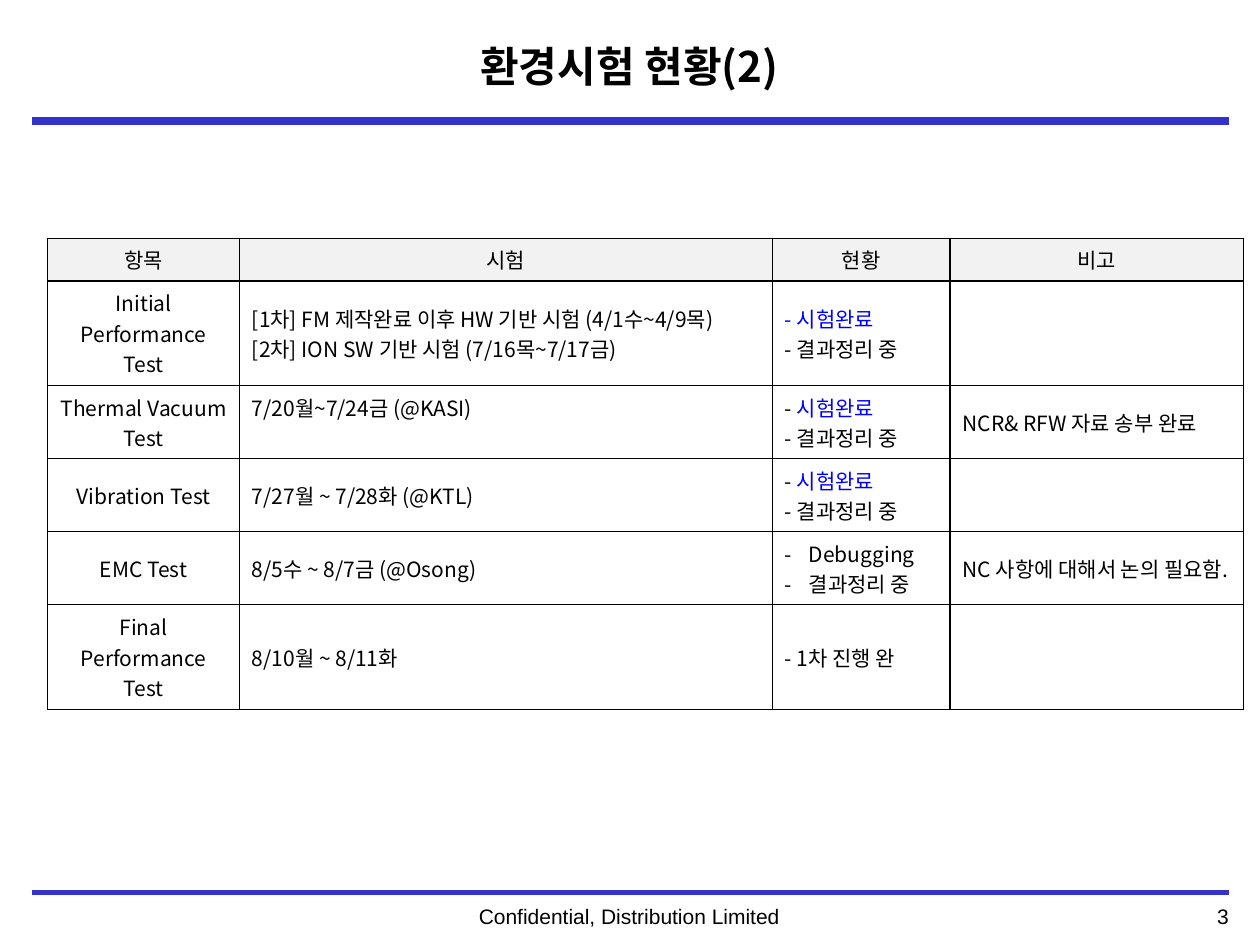
from lxml.etree import SubElement
from pptx import Presentation
from pptx.dml.color import RGBColor
from pptx.enum.shapes import MSO_CONNECTOR
from pptx.enum.text import MSO_ANCHOR, PP_ALIGN
from pptx.oxml.ns import qn
from pptx.util import Inches, Pt

# Content: a cell is a list of paragraphs, a paragraph a list of (text, colour)
TITLE = "환경시험 현황(2)"
FOOTER = "Confidential, Distribution Limited"
PAGE = "3"
HEADERS = ["항목", "시험", "현황", "비고"]
WRITING_UP = [("- 결과정리 중", "text")]
DONE = [[("- ", "text"), ("시험완료", "done")], WRITING_UP]
ROWS = [
    ["Initial Performance Test",
     [[("[1차] FM 제작완료 이후 HW 기반 시험 (4/1수~4/9목)", "text")],
      [("[2차] ION SW 기반 시험 (7/16목~7/17금)", "text")]],
     [[("- 시험완료", "done")], WRITING_UP], ""],
    ["Thermal Vacuum Test", "7/20월~7/24금 (@KASI)", DONE, "NCR& RFW 자료 송부 완료"],
    ["Vibration Test", "7/27월 ~ 7/28화 (@KTL)", DONE, ""],
    ["EMC Test", "8/5수 ~ 8/7금 (@Osong)",
     [[("Debugging", "text")], [("결과정리 중", "text")]], "NC 사항에 대해서 논의 필요함."],
    ["Final Performance Test", "8/10월 ~ 8/11화", "- 1차 진행 완", ""],
]
BULLETED = {(4, 2)}
TOP_ANCHORED = {(2, 1)}

THEME = {
    "colors": {"text": "000000", "done": "0000FF", "rule": "3333CC",
               "header": "F2F2F2", "border": "000000"},
    "title": {"size": Pt(24), "name": "Noto Sans CJK KR", "bold": True},
    "table": {"size": Pt(12), "name": "Noto Sans CJK KR"},
    "footer": {"size": Pt(12), "name": "Arial"},
}

# Layout in inches; row heights follow the number of text lines
W, H, MARGIN = 10, 7.5, 0.25
RULES = [(0.96, 4.5), (7.08, 2), (7.09, 2)]
TABLE_LEFT, TABLE_TOP = 0.38, 1.89
COLS = [1.52, 4.23, 1.41, 2.33]
LINE_HEIGHTS = {1: 0.34, 2: 0.58, 3: 0.83}
ROW_HEIGHTS = [LINE_HEIGHTS[lines] for lines in (1, 3, 2, 2, 2, 3)]
INDENT = Inches(0.19)


def color(name):
    return RGBColor.from_string(THEME["colors"][name])


def write(tf, content, style, align=PP_ALIGN.LEFT, bullet=False):
    if isinstance(content, str):
        content = [[(content, "text")]]
    for i, runs in enumerate(content):
        p = tf.add_paragraph() if i else tf.paragraphs[0]
        p.alignment = align
        if bullet:
            pPr = p._p.get_or_add_pPr()
            pPr.set("marL", str(INDENT))
            pPr.set("indent", str(-INDENT))
            SubElement(pPr, qn("a:buFont"), typeface=THEME[style]["name"])
            SubElement(pPr, qn("a:buChar"), char="-")
        for text, tone in runs:
            # An empty cell keeps its type size on the paragraph
            r = p.add_run() if text else p
            r.text = text
            for key, value in THEME[style].items():
                setattr(r.font, key, value)
            r.font.color.rgb = color(tone)
            if text:
                rPr = r._r.get_or_add_rPr()
                rPr.set("kern", "0")
                SubElement(rPr, qn("a:ea"), typeface=r.font.name)


def add_text(s, box, text, style, align, anchor=MSO_ANCHOR.TOP):
    tf = s.shapes.add_textbox(*map(Inches, box)).text_frame
    tf.word_wrap = True
    tf.vertical_anchor = anchor
    write(tf, text, style, align)


def add_rule(s, y, width):
    line = s.shapes.add_connector(MSO_CONNECTOR.STRAIGHT, Inches(MARGIN), Inches(y),
                                  Inches(W - MARGIN), Inches(y))
    line.line.color.rgb = color("rule")
    line.line.width = Pt(width)
    SubElement(line._element.spPr, qn("a:effectLst"))


def add_borders(cell):
    tcPr = cell._tc.get_or_add_tcPr()
    for side in ("lnL", "lnR", "lnT", "lnB"):
        ln = SubElement(tcPr, qn(f"a:{side}"), w=str(Pt(0.75)))
        fill = SubElement(ln, qn("a:solidFill"))
        SubElement(fill, qn("a:srgbClr"), val=THEME["colors"]["border"])


def add_status_table(s):
    table = s.shapes.add_table(len(ROWS) + 1, len(COLS), Inches(TABLE_LEFT), Inches(TABLE_TOP),
                               Inches(sum(COLS)), Inches(sum(ROW_HEIGHTS))).table
    for col, width in zip(table.columns, COLS):
        col.width = Inches(width)
    for row, height in zip(table.rows, ROW_HEIGHTS):
        row.height = Inches(height)
    for i, row in enumerate([HEADERS] + ROWS):
        for j, content in enumerate(row):
            cell = table.cell(i, j)
            cell.vertical_anchor = MSO_ANCHOR.TOP if (i, j) in TOP_ANCHORED else MSO_ANCHOR.MIDDLE
            add_borders(cell)
            if i == 0:
                cell.fill.solid()
                cell.fill.fore_color.rgb = color("header")
            else:
                cell.fill.background()
            align = PP_ALIGN.CENTER if i == 0 or j == 0 else PP_ALIGN.LEFT
            write(cell.text_frame, content, "table", align, (i, j) in BULLETED)


def main():
    prs = Presentation()
    prs.slide_width, prs.slide_height = Inches(W), Inches(H)
    s = prs.slides.add_slide(prs.slide_layouts[6])

    # Frame: rules, page number and footer
    for y, width in RULES:
        add_rule(s, y, width)
    add_text(s, (8.23, 7.12, 1.62, 0.3), PAGE, "footer", PP_ALIGN.RIGHT)
    add_text(s, (2.45, 7.12, 5.09, 0.3), FOOTER, "footer", PP_ALIGN.CENTER)

    # Title and test status
    add_text(s, (1.33, 0.14, 7.33, 0.77), TITLE, "title", PP_ALIGN.CENTER, MSO_ANCHOR.MIDDLE)
    add_status_table(s)
    prs.save("out.pptx")


if __name__ == "__main__":
    main()
